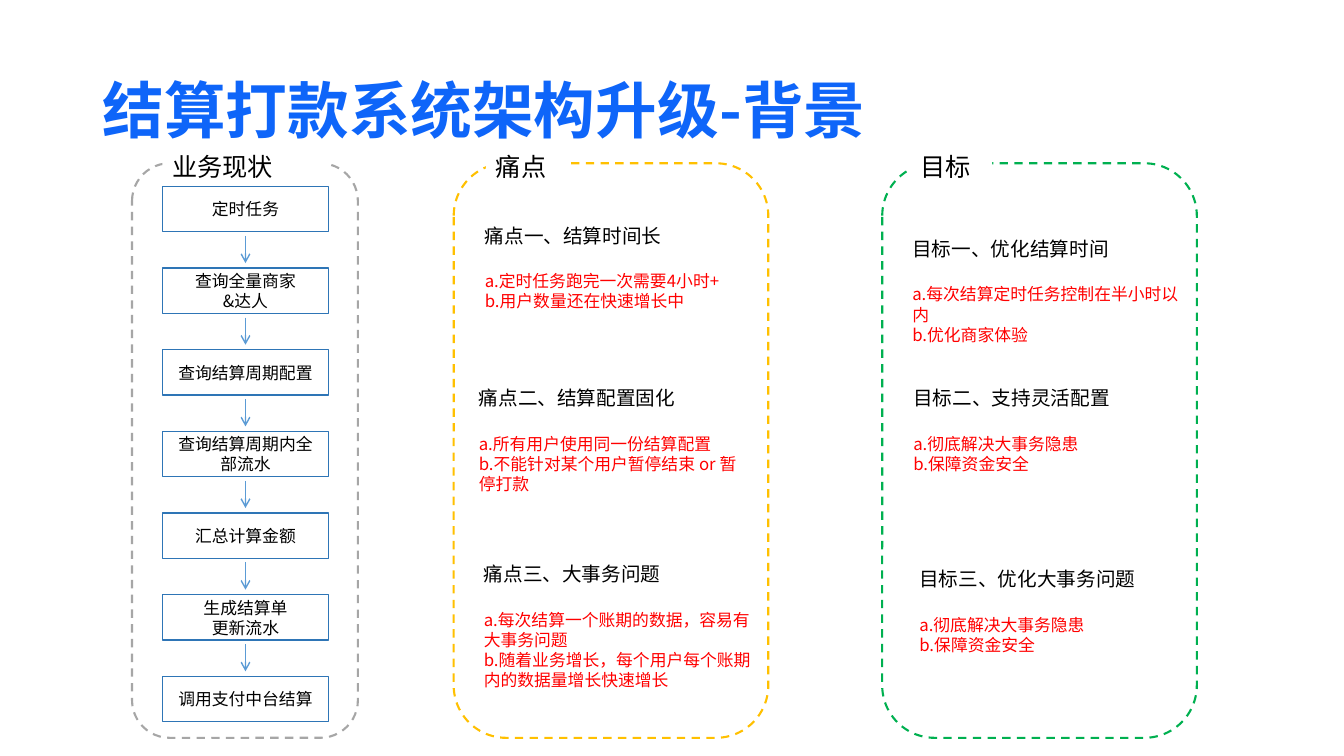
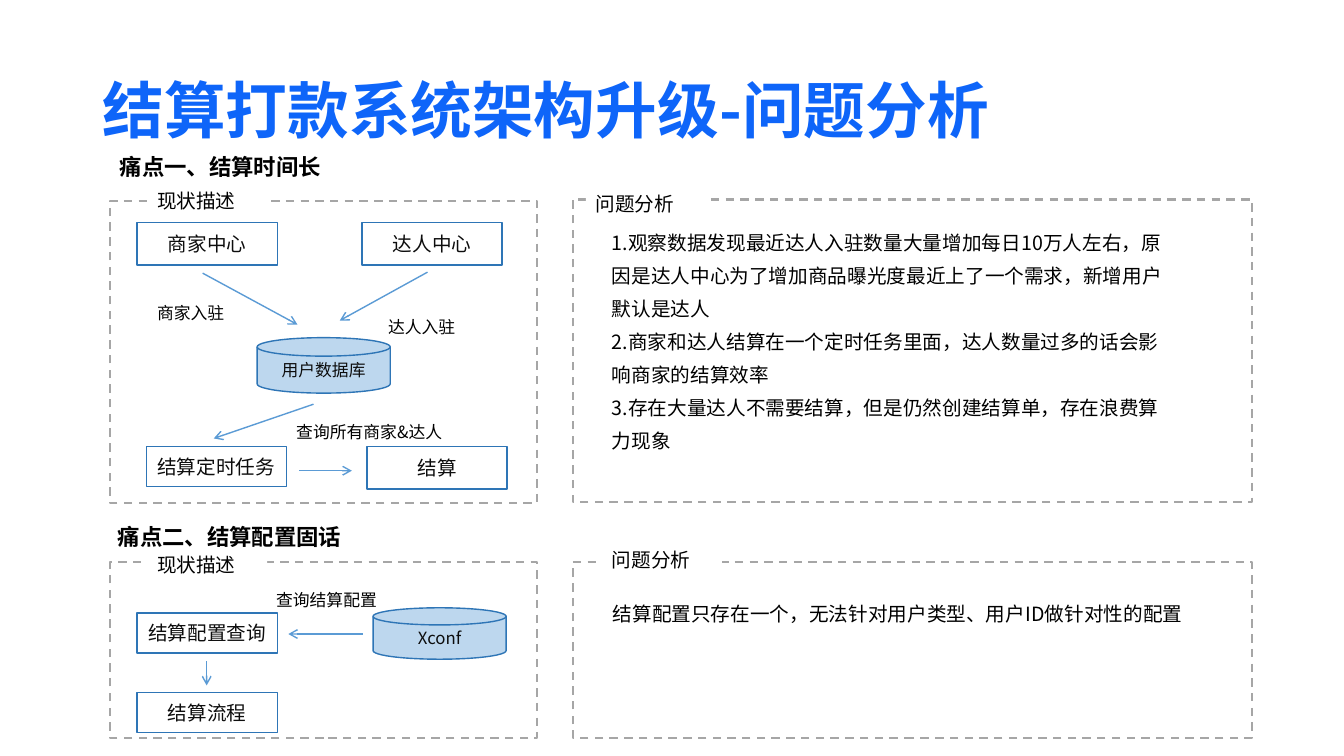
from dataclasses import dataclass

from lxml.etree import SubElement
from pptx import Presentation
from pptx.dml.color import RGBColor
from pptx.enum.dml import MSO_LINE
from pptx.enum.shapes import MSO_CONNECTOR, MSO_SHAPE as Shape
from pptx.enum.text import MSO_ANCHOR as Anchor, PP_ALIGN as Align
from pptx.oxml.ns import qn
from pptx.util import Inches, Pt


@dataclass(frozen=True)
class Theme:
    font: str = "Noto Sans CJK SC"
    title: str = "0E65F9"
    text: str = "000000"
    node_text: str = "0D0D0D"
    detail: str = "FF0000"
    white: str = "FFFFFF"
    store: str = "BDD7EE"
    border: str = "2E75B6"
    arrow: str = "5B9BD5"
    grey: str = "A6A6A6"
    yellow: str = "FFC000"
    green: str = "00B050"
    title_size: int = 44
    panel_size: int = 18
    section_size: int = 16
    body_size: int = 14
    small_size: int = 12


T = Theme()


@dataclass(frozen=True)
class Box:
    x: float
    y: float
    w: float
    h: float


@dataclass(frozen=True)
class Node:
    text: str
    box: Box
    size: int = T.body_size
    color: str = T.node_text
    kind: Shape = Shape.RECTANGLE
    fill: str = T.white


@dataclass(frozen=True)
class Label:
    text: str
    box: Box
    size: int = T.small_size
    bold: bool = False
    fill: str = ""
    spacing: float = 1.0


@dataclass(frozen=True)
class Arrow:
    x1: float
    y1: float
    x2: float
    y2: float


@dataclass(frozen=True)
class Panel:
    box: Box
    label: Label
    color: str = T.grey
    kind: Shape = Shape.RECTANGLE


@dataclass(frozen=True)
class Topic:
    heading: str
    details: str
    box: Box


def rgb(value: str) -> RGBColor:
    return RGBColor.from_string(value)


def place(box: Box) -> tuple:
    return Inches(box.x), Inches(box.y), Inches(box.w), Inches(box.h)


# Text
def style(p, size: int, color: str = T.text, bold: bool = False) -> None:
    for r in p.runs:
        r.font.size, r.font.bold, r.font.name = Pt(size), bold, T.font
        r.font.color.rgb = rgb(color)
        SubElement(r.font._element, qn("a:ea"), typeface=T.font)


def add_label(slide, label: Label, color: str = T.text):
    sp = slide.shapes.add_textbox(*place(label.box))
    if label.fill:
        sp.fill.solid()
        sp.fill.fore_color.rgb = rgb(label.fill)
    tf = sp.text_frame
    tf.word_wrap = True
    tf.text = label.text
    for p in tf.paragraphs:
        p.line_spacing = label.spacing
        style(p, label.size, color, label.bold)
    return sp


def add_title(slide, text: str) -> None:
    label = Label(text, Box(0.92, 0.4, 11.5, 1.45), T.title_size, True, spacing=0.9)
    sp = add_label(slide, label, T.title)
    sp.text_frame.vertical_anchor = Anchor.MIDDLE


def add_topic(slide, topic: Topic) -> None:
    sp = add_label(slide, Label(f"{topic.heading}\n{topic.details}", topic.box), T.detail)
    heading = sp.text_frame.paragraphs[0]
    heading.space_after = Pt(17)
    for r in heading.runs:
        r.font.size = Pt(T.body_size)
        r.font.color.rgb = rgb(T.text)


# Shapes and lines
def add_node(slide, node: Node) -> None:
    sp = slide.shapes.add_shape(node.kind, *place(node.box))
    sp.shadow.inherit = False
    sp.fill.solid()
    sp.fill.fore_color.rgb = rgb(node.fill)
    sp.line.color.rgb = rgb(T.border)
    sp.line.width = Pt(1)
    tf = sp.text_frame
    tf.word_wrap = True
    tf.vertical_anchor = Anchor.MIDDLE
    tf.text = node.text
    for p in tf.paragraphs:
        p.alignment = Align.CENTER
        style(p, node.size, node.color)


def add_panel(slide, panel: Panel) -> None:
    sp = slide.shapes.add_shape(panel.kind, *place(panel.box))
    sp.shadow.inherit = False
    sp.fill.background()
    sp.line.color.rgb = rgb(panel.color)
    sp.line.width = Pt(1.5)
    sp.line.dash_style = MSO_LINE.DASH
    add_label(slide, panel.label)


def add_arrow(slide, arrow: Arrow) -> None:
    ends = (Inches(v) for v in (arrow.x1, arrow.y1, arrow.x2, arrow.y2))
    line = slide.shapes.add_connector(MSO_CONNECTOR.STRAIGHT, *ends)
    line.line.color.rgb = rgb(T.arrow)
    line.line.width = Pt(1)
    SubElement(line.line._get_or_add_ln(), qn("a:tailEnd"), type="arrow")
    SubElement(line._element.spPr, qn("a:effectLst"))


# Slide 1: background
def round_panel(text: str, x: float, w: float, label_x: float, label_w: float, color: str) -> Panel:
    label = Label(text, Box(label_x, 1.45, label_w, 0.4), T.panel_size, fill=T.white)
    return Panel(Box(x, 1.62, w, 5.7), label, color, Shape.ROUNDED_RECTANGLE)


ROUND_PANELS = [
    round_panel("业务现状", 1.31, 2.24, 1.61, 1.65, T.grey),
    round_panel("痛点", 4.5, 3.12, 4.82, 0.81, T.yellow),
    round_panel("目标", 8.75, 3.12, 9.03, 0.81, T.green),
]
STEPS = [
    "定时任务",
    "查询全量商家\n&达人",
    "查询结算周期配置",
    "查询结算周期内全部流水",
    "汇总计算金额",
    "生成结算单\n更新流水",
    "调用支付中台结算",
]
STEP_BOX = Box(1.61, 1.85, 1.65, 0.45)
STEP_PITCH = 0.81
TOPICS = [
    Topic("痛点一、结算时间长", "a.定时任务跑完一次需要4小时+\nb.用户数量还在快速增长中",
          Box(4.71, 2.17, 2.9, 0.97)),
    Topic("痛点二、结算配置固化",
          "a.所有用户使用同一份结算配置\nb.不能针对某个用户暂停结束 or 暂停打款",
          Box(4.65, 3.78, 2.91, 1.18)),
    Topic("痛点三、大事务问题",
          "a.每次结算一个账期的数据，容易有大事务问题\n"
          "b.随着业务增长，每个用户每个账期内的数据量增长快速增长",
          Box(4.7, 5.53, 2.91, 1.38)),
    Topic("目标一、优化结算时间", "a.每次结算定时任务控制在半小时以内\nb.优化商家体验",
          Box(8.95, 2.3, 2.9, 1.18)),
    Topic("目标二、支持灵活配置", "a.彻底解决大事务隐患\nb.保障资金安全",
          Box(8.96, 3.78, 2.9, 0.97)),
    Topic("目标三、优化大事务问题", "a.彻底解决大事务隐患\nb.保障资金安全",
          Box(9.02, 5.58, 2.9, 0.97)),
]


def build_background(slide) -> None:
    add_title(slide, "结算打款系统架构升级-背景")
    for panel in ROUND_PANELS:
        add_panel(slide, panel)
    center = STEP_BOX.x + STEP_BOX.w / 2
    for i, text in enumerate(STEPS):
        y = STEP_BOX.y + i * STEP_PITCH
        box = Box(STEP_BOX.x, y, STEP_BOX.w, STEP_BOX.h)
        add_node(slide, Node(text, box, T.small_size, T.text))
        if i < len(STEPS) - 1:
            top = y + STEP_BOX.h + 0.04
            add_arrow(slide, Arrow(center, top, center, top + 0.27))
    for topic in TOPICS:
        add_topic(slide, topic)


# Slide 2: problem analysis
def square_panel(text: str, box: Box, label_x: float, label_y: float) -> Panel:
    return Panel(box, Label(text, Box(label_x, label_y, 1.19, 0.34), T.body_size, fill=T.white))


def task(text: str, x: float, y: float, h: float = 0.42) -> Node:
    return Node(text, Box(x, y, 1.39, h))


def store(text: str, x: float, y: float, h: float) -> Node:
    return Node(text, Box(x, y, 1.32, h), T.small_size,
                kind=Shape.FLOWCHART_MAGNETIC_DISK, fill=T.store)


SQUARE_PANELS = [
    square_panel("现状描述", Box(1.09, 1.99, 4.24, 3), 1.46, 1.83),
    square_panel("问题分析", Box(5.68, 1.98, 6.74, 3), 5.81, 1.86),
    square_panel("现状描述", Box(1.09, 5.58, 4.24, 1.74), 1.46, 5.44),
    square_panel("问题分析", Box(5.68, 5.58, 6.74, 1.74), 5.97, 5.39),
]
NODES = [
    task("商家中心", 1.36, 2.21),
    task("达人中心", 3.59, 2.21),
    store("用户数据库", 2.55, 3.35, 0.55),
    task("结算定时任务", 1.45, 4.43, 0.4),
    task("结算", 3.64, 4.43),
    store("Xconf", 3.7, 6.03, 0.51),
    task("结算配置查询", 1.36, 6.08, 0.4),
    task("结算流程", 1.36, 6.87, 0.4),
]
ARROWS = [
    Arrow(2.01, 2.71, 2.95, 3.22),
    Arrow(4.24, 2.7, 3.37, 3.18),
    Arrow(3.11, 4.01, 2.12, 4.35),
    Arrow(2.97, 4.67, 3.49, 4.67),
    Arrow(3.6, 6.29, 2.86, 6.29),
    Arrow(2.05, 6.56, 2.05, 6.8),
]
LABELS = [
    Label("痛点一、结算时间长", Box(1.09, 1.47, 2.41, 0.37), T.section_size, True),
    Label("痛点二、结算配置固话", Box(1.07, 5.14, 2.52, 0.37), T.section_size, True),
    Label("商家入驻", Box(1.46, 2.95, 1.39, 0.3)),
    Label("达人入驻", Box(3.75, 3.09, 1.39, 0.3)),
    Label("查询所有商家&达人", Box(2.84, 4.13, 1.84, 0.3)),
    Label("查询结算配置", Box(2.64, 5.8, 1.39, 0.36)),
    Label("1.观察数据发现最近达人入驻数量大量增加每日10万人左右，"
          "原因是达人中心为了增加商品曝光度最近上了一个需求，新增用户默认是达人\n"
          "2.商家和达人结算在一个定时任务里面，达人数量过多的话会影响商家的结算效率\n"
          "3.存在大量达人不需要结算，但是仍然创建结算单，存在浪费算力现象",
          Box(5.97, 2.15, 5.68, 2.37), T.body_size, spacing=1.4),
    Label("结算配置只存在一个，无法针对用户类型、用户ID做针对性的配置",
          Box(5.98, 5.92, 5.97, 0.63), T.body_size),
]


def build_analysis(slide) -> None:
    add_title(slide, "结算打款系统架构升级-问题分析")
    for items, draw in ((SQUARE_PANELS, add_panel), (NODES, add_node),
                        (ARROWS, add_arrow), (LABELS, add_label)):
        for item in items:
            draw(slide, item)


def main() -> None:
    prs = Presentation()
    prs.slide_width, prs.slide_height = Inches(13.33), Inches(7.5)
    for build in (build_background, build_analysis):
        build(prs.slides.add_slide(prs.slide_layouts[6]))
    prs.save("out.pptx")


if __name__ == "__main__":
    main()
